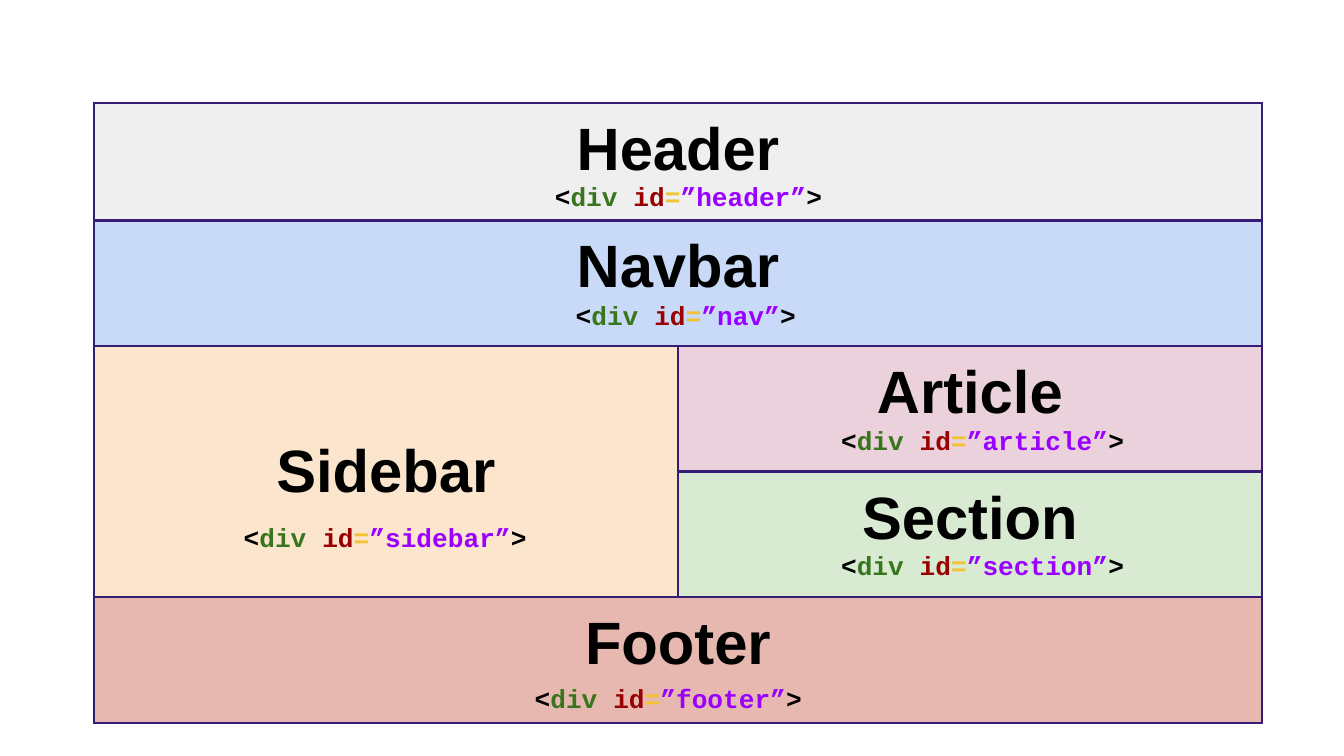
from dataclasses import dataclass

from lxml.etree import SubElement
from pptx import Presentation
from pptx.dml.color import RGBColor
from pptx.enum.text import MSO_ANCHOR as Anchor, PP_ALIGN as Align
from pptx.oxml.ns import qn
from pptx.slide import Slide
from pptx.table import Table, _Cell as Cell
from pptx.text.text import _Paragraph as Paragraph
from pptx.util import Emu, Pt

PX = 4572
PAGE_WIDTH, PAGE_HEIGHT = 2000, 1125
INSET = 20
BORDER = "351C75"
BLACK = "000000"
TABLE_LEFT, TABLE_TOP = 140, 153
COLUMN_WIDTHS = [869] * 2
ROW_HEIGHTS = [175] + [187] * 4
TAG_WIDTH, TAG_HEIGHT = 568, 66


@dataclass(frozen=True)
class Region:
    title: str
    name: str
    fill: str
    row: int
    column: int
    tag_left: int
    tag_top: int
    row_span: int = 1
    column_span: int = 1
    anchor: Anchor = Anchor.TOP


REGIONS = [
    Region("Header", "header", "EFEFEF", 0, 0, 806, 248, column_span=2),
    Region("Navbar", "nav", "C9DAF8", 1, 0, 837, 426, column_span=2),
    Region("Sidebar", "sidebar", "FCE5CD", 2, 0, 343, 756, row_span=2, anchor=Anchor.MIDDLE),
    Region("Article", "article", "EAD1DC", 2, 1, 1232, 612),
    Region("Section", "section", "D9EAD3", 3, 1, 1232, 798),
    Region("Footer", "footer", "E6B8AF", 4, 0, 776, 995, column_span=2),
]


def px(length: int) -> Emu:
    return Emu(length * PX)


def color(value: str) -> RGBColor:
    return RGBColor.from_string(value)


def add_span(para: Paragraph, text: str, font: str, size: int, shade: str) -> None:
    span = para.add_run()
    span.text = text
    span.font.name = font
    span.font.size = Pt(size)
    span.font.bold = True
    span.font.color.rgb = color(shade)


def style_cell(cell: Cell, fill: str) -> None:
    properties = cell._tc.get_or_add_tcPr()
    for side in ("a:lnL", "a:lnR", "a:lnT", "a:lnB"):
        line = SubElement(properties, qn(side), w=str(Pt(1.5)))
        solid = SubElement(line, qn("a:solidFill"))
        SubElement(solid, qn("a:srgbClr"), val=BORDER)
    cell.fill.solid()
    cell.fill.fore_color.rgb = color(fill)
    cell.margin_left = cell.margin_right = px(INSET)
    cell.margin_top = cell.margin_bottom = px(INSET)


def fill_region(table: Table, region: Region) -> None:
    last_row = region.row + region.row_span - 1
    last_column = region.column + region.column_span - 1
    for row in range(region.row, last_row + 1):
        for column in range(region.column, last_column + 1):
            style_cell(table.cell(row, column), region.fill)
    cell = table.cell(region.row, region.column)
    if region.row_span * region.column_span > 1:
        cell.merge(table.cell(last_row, last_column))
    cell.vertical_anchor = region.anchor
    para = cell.text_frame.paragraphs[0]
    para.alignment = Align.CENTER
    add_span(para, region.title, "Arial", 32, BLACK)


def add_layout_table(page: Slide) -> None:
    frame = page.shapes.add_table(
        len(ROW_HEIGHTS), len(COLUMN_WIDTHS), px(TABLE_LEFT), px(TABLE_TOP),
        px(sum(COLUMN_WIDTHS)), px(sum(ROW_HEIGHTS)),
    )
    table = frame.table
    table.first_row = table.horz_banding = False
    for column, width in zip(table.columns, COLUMN_WIDTHS):
        column.width = px(width)
    for row, height in zip(table.rows, ROW_HEIGHTS):
        row.height = px(height)
    for region in REGIONS:
        fill_region(table, region)


def add_tag(page: Slide, region: Region) -> None:
    box = page.shapes.add_textbox(
        px(region.tag_left), px(region.tag_top), px(TAG_WIDTH), px(TAG_HEIGHT)
    )
    frame = box.text_frame
    frame.word_wrap = True
    frame.margin_left = frame.margin_right = px(INSET)
    frame.margin_top = frame.margin_bottom = px(INSET)
    parts = [
        ("<", BLACK),
        ("div ", "38761D"),
        ("id", "990000"),
        ("=", "F1C232"),
        (f"”{region.name}”", "9900FF"),
        (">", BLACK),
    ]
    for text, shade in parts:
        add_span(frame.paragraphs[0], text, "Courier New", 14, shade)


def main() -> None:
    deck = Presentation()
    deck.slide_width, deck.slide_height = px(PAGE_WIDTH), px(PAGE_HEIGHT)
    page = deck.slides.add_slide(deck.slide_layouts[6])
    add_layout_table(page)
    for region in REGIONS:
        add_tag(page, region)
    deck.save("out.pptx")


if __name__ == "__main__":
    main()
